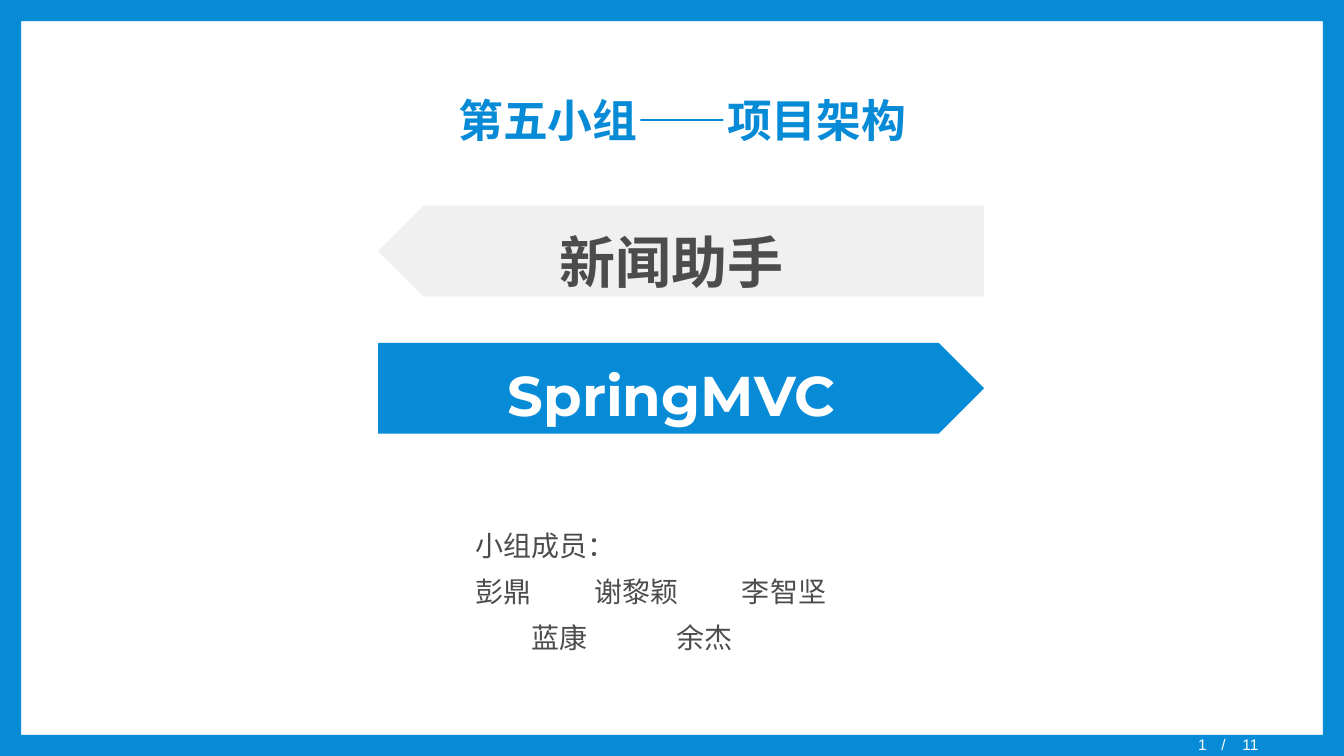
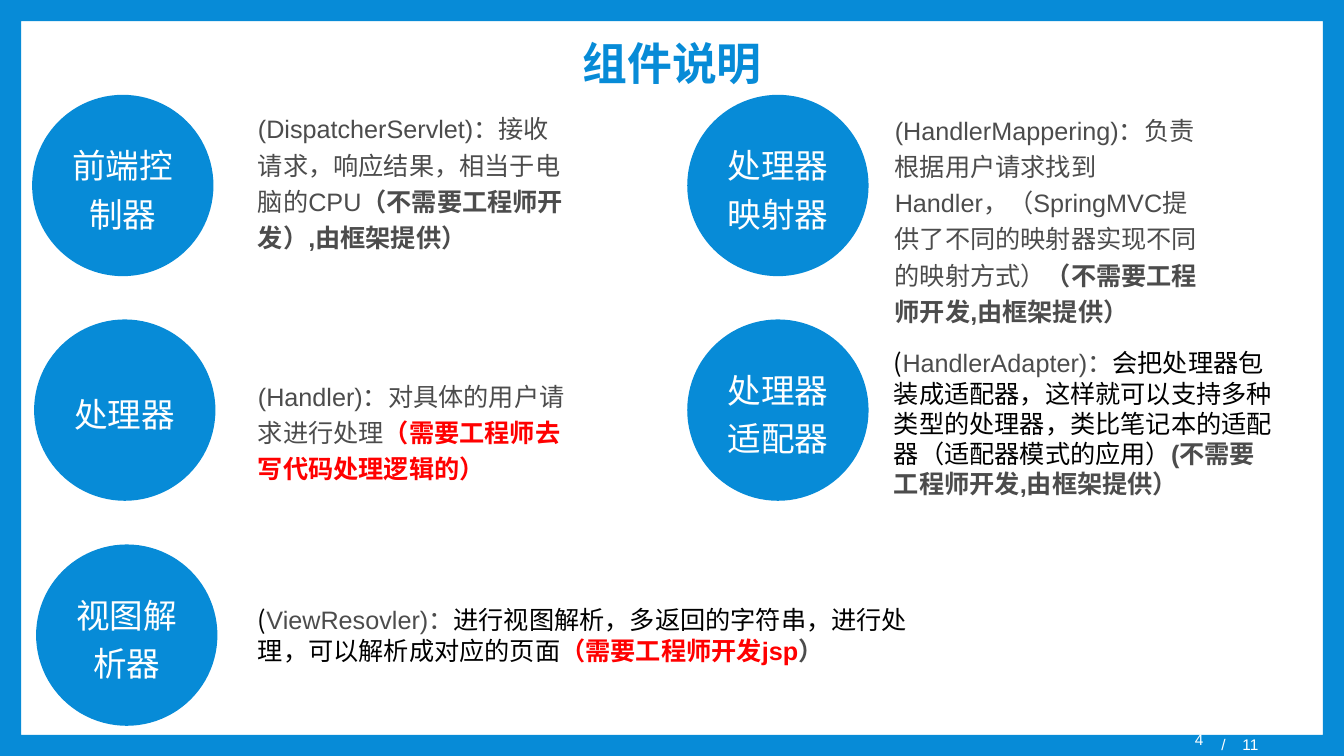
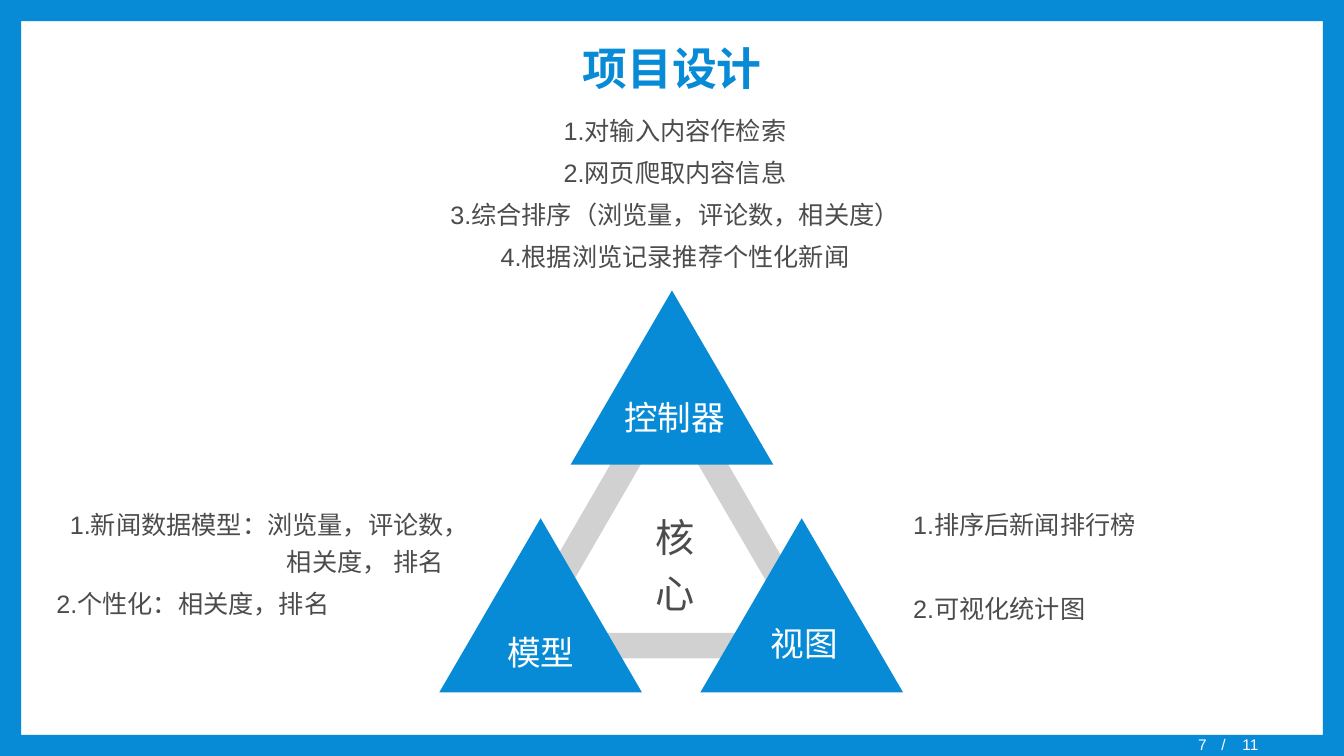
"""Build three slides on a SpringMVC project: cover, components and design."""
from lxml import etree
from pptx import Presentation
from pptx.dml.color import RGBColor
from pptx.enum.shapes import MSO_SHAPE
from pptx.enum.text import MSO_ANCHOR, PP_ALIGN
from pptx.oxml.ns import qn
from pptx.util import Cm, Pt

BLUE = RGBColor(0x07, 0x8B, 0xD7)
GREY = RGBColor(0x4C, 0x4C, 0x4C)
PALE = RGBColor(0xF0, 0xF0, 0xF0)
RING = RGBColor(0xD1, 0xD1, 0xD1)
RED = RGBColor(0xFF, 0x00, 0x00)
BLACK = RGBColor(0x00, 0x00, 0x00)
WHITE = RGBColor(0xFF, 0xFF, 0xFF)
ARIAL, MONT, NOTO = "Arial", "Montserrat", "Noto Sans CJK SC"
LEFT, MID, RIGHT = PP_ALIGN.LEFT, PP_ALIGN.CENTER, PP_ALIGN.RIGHT
CENTRE = MSO_ANCHOR.MIDDLE
FRAME, PLATE = MSO_SHAPE.FRAME, MSO_SHAPE.PENTAGON
OVAL, PEAK = MSO_SHAPE.OVAL, MSO_SHAPE.ISOSCELES_TRIANGLE


def write(shape, lines, size, tint, face=ARIAL, align=LEFT, bold=False, loose=True, tabs=()):
    """Fill a shape with styled paragraphs and return the last one."""
    frame = shape.text_frame
    frame.word_wrap = True
    for i, line in enumerate(lines):
        para = frame.add_paragraph() if i else frame.paragraphs[0]
        para.text = line
        para.alignment = align
        font = para.font
        font.size, font.name, font.bold = Pt(size), face, bold
        font.color.rgb = tint
        if loose:
            para.line_spacing = 1.2
            para.space_before = para.space_after = Pt(2)
        if "\t" in line:
            stops = etree.Element(qn("a:tabLst"))
            for stop in tabs[i]:
                etree.SubElement(stops, qn("a:tab"), pos=str(Cm(stop)), algn="l")
            font._element.addprevious(stops)
    return para


def draw(slide, kind, left, top, width, height, tint):
    """Add a flat preset shape without an outline."""
    shape = slide.shapes.add_shape(kind, Cm(left), Cm(top), Cm(width), Cm(height))
    shape.shadow.inherit = False
    shape.fill.solid()
    shape.fill.fore_color.rgb = tint
    shape.line.fill.background()
    return shape


deck = Presentation()
deck.slide_width, deck.slide_height = Cm(33.87), Cm(19.05)

slides = []
for name, face, left, top, page, right, base in [
    ("第五小组——项目架构", MONT, 1.73, 2.01, "1", 24.08, 18.59),
    ("组件说明", ARIAL, 1.47, 0.58, "4", 24, 18.47),
    ("项目设计", ARIAL, 1.47, 0.71, "7", 24.08, 18.59),
]:
    slide = deck.slides.add_slide(deck.slide_layouts[5])
    slides.append(slide)
    title = slide.shapes.title
    title.left, title.top, title.width, title.height = Cm(left), Cm(top), Cm(30.94), Cm(2.01)
    title.text_frame.vertical_anchor = CENTRE
    write(title, [name], 32, BLUE, face, MID, True, False)
    total = slide.shapes.add_textbox(Cm(30.53), Cm(18.54), Cm(3.33), Cm(0.46))
    total.text_frame.vertical_anchor = CENTRE
    write(total, ["/\t11"], 11, WHITE, loose=False, tabs=[[0.53]])
    count = slide.shapes.add_textbox(Cm(right), Cm(base), Cm(6.58), Cm(0.46))
    count.text_frame.vertical_anchor = CENTRE
    count.text_frame.margin_top = 0
    write(count, [page], 11, WHITE, align=RIGHT, loose=False)
cover, parts, design = slides

border = draw(cover, FRAME, 0, 0, 33.87, 19.05, BLUE)
border.adjustments[0] = 0.028
deck.slide_master.shapes.element.insert(2, border.element)

for text, left, top, width, base, fill, tint, turn in [
    ("新闻助手", 13.82, 5.26, 6.22, 5.18, PALE, GREY, 180),
    ("SpringMVC", 12.42, 8.61, 9.02, 8.64, BLUE, WHITE, 0),
]:
    draw(cover, PLATE, 9.53, base, 15.27, 2.29, fill).rotation = turn
    label = cover.shapes.add_textbox(Cm(left), Cm(top), Cm(width), Cm(2.16))
    write(label, [text], 40, tint, MONT, MID, True)

team = cover.shapes.add_textbox(Cm(11.73), Cm(13.03), Cm(10.4), Cm(4.2))
write(team, ["小组成员：", "彭鼎\t谢黎颖\t李智坚", "\t蓝康\t余杰"], 20, GREY,
      tabs=[[], [3, 6.72], [1.42, 5.07]])

for text, left, top in [
    ("前端控制器", 0.81, 2.39), ("处理器映射器", 17.32, 2.39),
    ("处理器", 0.86, 8.05), ("处理器适配器", 17.32, 8.05),
    ("视图解析器", 0.91, 13.72),
]:
    write(draw(parts, OVAL, left, top, 4.57, 4.57, BLUE), [text], 24, WHITE, MONT, MID)

PLAIN, STRONG = (ARIAL, GREY, False), (ARIAL, GREY, True)
ALERT, DARK = (ARIAL, RED, True), (NOTO, BLACK, False)
for left, top, width, height, loose, runs in [
    (6.25, 2.59, 8.23, 3.86, True, [
        ("(DispatcherServlet)：接收请求，响应结果，相当于电脑的CPU", PLAIN),
        ("（不需要工程师开发）,由框架提供）", STRONG)]),
    (22.3, 2.62, 8.23, 5.72, True, [
        ("(HandlerMappering)：负责根据用户请求找到Handler，"
         "（SpringMVC提供了不同的映射器实现不同的映射方式）", PLAIN),
        ("（不需要工程师开发,由框架提供）", STRONG)]),
    (6.25, 9.32, 8.23, 2.95, True, [
        ("(Handler)：对具体的用户请求进行处理", PLAIN),
        ("（需要工程师去写代码处理逻辑的）", ALERT)]),
    (22.28, 8.64, 10.21, 4.11, False, [
        ("(", DARK), ("HandlerAdapter)：", PLAIN),
        ("会把处理器包装成适配器，这样就可以支持多种类型的处理器，"
         "类比笔记本的适配器（适配器模式的应用）", DARK),
        ("(不需要工程师开发,由框架提供）", STRONG)]),
    (6.25, 15.11, 16.94, 1.8, False, [
        ("(", DARK), ("ViewResovler)：", PLAIN),
        ("进行视图解析，多返回的字符串，进行处理，可以解析成对应的页面", DARK),
        ("（需要工程师开发jsp", ALERT), ("）", STRONG)]),
]:
    box = parts.shapes.add_textbox(Cm(left), Cm(top), Cm(width), Cm(height))
    para = write(box, [""], 18, GREY, loose=loose)
    for text, (face, tint, bold) in runs:
        run = para.add_run()
        run.text = text
        run.font.name, run.font.bold = face, bold
        run.font.color.rgb = tint

outer = [(16.87, 9.14), (21.18, 16.59), (12.55, 16.59)]
inner = [(16.87, 10.46), (13.69, 15.95), (20.07, 15.95)]
pen = design.shapes.build_freeform(Cm(outer[0][0]), Cm(outer[0][1]))
pen.add_line_segments([(Cm(x), Cm(y)) for x, y in outer[1:]])
pen.move_to(Cm(inner[0][0]), Cm(inner[0][1]))
pen.add_line_segments([(Cm(x), Cm(y)) for x, y in inner[1:]])
ring = pen.convert_to_shape()
ring.shadow.inherit = False
ring.fill.solid()
ring.fill.fore_color.rgb = RING
ring.line.fill.background()

for left, top in [(14.38, 7.32), (11.07, 13.06), (17.65, 13.06)]:
    draw(design, PEAK, left, top, 5.11, 4.39, BLUE)

for text, left, top, width, height, size, tint in [
    ("控制器", 15.14, 9.68, 3.73, 1.4, 24, WHITE),
    ("模型", 12.42, 15.6, 2.41, 1.4, 24, WHITE),
    ("视图", 19.08, 15.37, 2.39, 1.4, 24, WHITE),
    ("核心", 15.8, 12.57, 2.41, 3.02, 28, GREY),
]:
    label = design.shapes.add_textbox(Cm(left), Cm(top), Cm(width), Cm(height))
    write(label, [text], size, tint, MONT, MID)

goals = design.shapes.add_textbox(Cm(9.07), Cm(2.64), Cm(15.88), Cm(4.29))
write(goals, ["1.对输入内容作检索", "2.网页爬取内容信息",
              "3.综合排序（浏览量，评论数，相关度）", "4.根据浏览记录推荐个性化新闻"],
      18, GREY, align=MID)
model = design.shapes.add_textbox(Cm(1.17), Cm(12.57), Cm(10.26), Cm(3.1))
last = write(model, ["1.新闻数据模型：浏览量，评论数，相关度， 排名", "2.个性化：相关度，排名"],
             18, GREY, align=RIGHT)
last.alignment = LEFT
view = design.shapes.add_textbox(Cm(22.76), Cm(12.57), Cm(11), Cm(3.23))
last = write(view, ["1.排序后新闻排行榜", "2.可视化统计图"], 18, GREY)
last.space_before = Pt(32)

deck.save("out.pptx")
